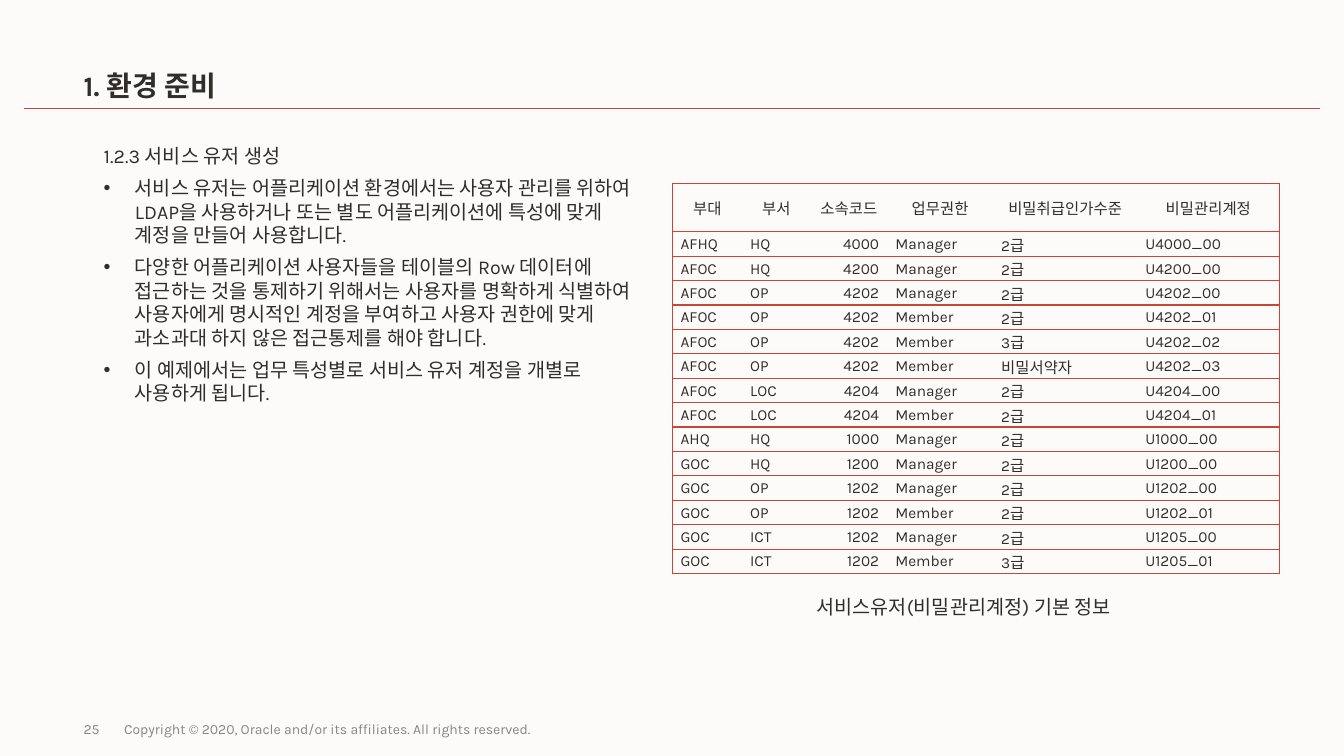
"""Build the service user account slide."""
from dataclasses import dataclass
from typing import NamedTuple

from lxml.etree import SubElement
from pptx import Presentation
from pptx.dml.color import RGBColor
from pptx.enum.shapes import MSO_CONNECTOR
from pptx.enum.text import MSO_ANCHOR as Anchor, MSO_AUTO_SIZE as AutoSize, PP_ALIGN as Align
from pptx.oxml.ns import qn
from pptx.util import Inches, Pt

FONT = "Karla"
INK, GREY, RED, PAPER = "312D2A", "8B8580", "C74634", "FCFBFA"


class Account(NamedTuple):
    unit: str
    department: str
    code: str
    role: str
    clearance: str
    user: str


@dataclass
class Label:
    text: str
    left: float
    top: float
    width: float
    height: float
    size: float
    color: str
    inset: bool = True
    wrap: bool = True
    anchor: Anchor = Anchor.TOP
    auto_size: AutoSize = AutoSize.NONE


HEADINGS = Account("부대", "부서", "소속코드", "업무권한", "비밀취급인가수준", "비밀관리계정")
ACCOUNTS = [
    Account("AFHQ", "HQ", "4000", "Manager", "2급", "U4000_00"),
    Account("AFOC", "HQ", "4200", "Manager", "2급", "U4200_00"),
    Account("AFOC", "OP", "4202", "Manager", "2급", "U4202_00"),
    Account("AFOC", "OP", "4202", "Member", "2급", "U4202_01"),
    Account("AFOC", "OP", "4202", "Member", "3급", "U4202_02"),
    Account("AFOC", "OP", "4202", "Member", "비밀서약자", "U4202_03"),
    Account("AFOC", "LOC", "4204", "Manager", "2급", "U4204_00"),
    Account("AFOC", "LOC", "4204", "Member", "2급", "U4204_01"),
    Account("AHQ", "HQ", "1000", "Manager", "2급", "U1000_00"),
    Account("GOC", "HQ", "1200", "Manager", "2급", "U1200_00"),
    Account("GOC", "OP", "1202", "Manager", "2급", "U1202_00"),
    Account("GOC", "OP", "1202", "Member", "2급", "U1202_01"),
    Account("GOC", "ICT", "1202", "Manager", "2급", "U1205_00"),
    Account("GOC", "ICT", "1202", "Member", "3급", "U1205_01"),
]
COLUMN_WIDTHS = [0.69, 0.68, 0.76, 1.05, 1.43, 1.41]
TABLE_HEIGHT, HEADER_HEIGHT = 3.87, 0.48

BULLETS = [
    "서비스 유저는 어플리케이션 환경에서는 사용자 관리를 위하여 LDAP을 사용하거나 또는 "
    "별도 어플리케이션에 특성에 맞게 계정을 만들어 사용합니다.",
    "다양한 어플리케이션 사용자들을 테이블의 Row 데이터에 접근하는 것을 통제하기 위해서는 "
    "사용자를 명확하게 식별하여 사용자에게 명시적인 계정을 부여하고 사용자 권한에 맞게 "
    "과소과대 하지 않은 접근통제를 해야 합니다.",
    "이 예제에서는 업무 특성별로 서비스 유저 계정을 개별로 사용하게 됩니다.",
]
BODY = Label("1.2.3 서비스 유저 생성", 0.93, 1.38, 5.58, 2.71, 14, INK,
             auto_size=AutoSize.SHAPE_TO_FIT_TEXT)
LABELS = [
    Label("25", 0.83, 7.03, 0.4, 0.4, 10, GREY, inset=False, anchor=Anchor.MIDDLE),
    Label("Copyright © 2020, Oracle and/or its affiliates. All rights reserved.",
          1.23, 7.03, 6.28, 0.4, 10, GREY, inset=False, anchor=Anchor.MIDDLE),
    Label("서비스유저(비밀관리계정) 기본 정보", 8, 5.85, 3.37, 0.34, 14, INK,
          wrap=False, auto_size=AutoSize.SHAPE_TO_FIT_TEXT),
]


def rgb(color: str) -> RGBColor:
    return RGBColor.from_string(color)


def write_text(paragraph, text: str, *, size: float, color: str = INK, bold: bool = False,
               align: Align = Align.LEFT, before: float = 0, bullet: bool = False) -> None:
    if bullet:
        properties = paragraph._p.get_or_add_pPr()
        properties.set("marL", str(Inches(0.31)))
        properties.set("indent", str(-Inches(0.31)))
        SubElement(properties, qn("a:buFont"), typeface="Arial")
        SubElement(properties, qn("a:buChar"), char="•")
    paragraph.alignment = align
    paragraph.space_before = Pt(before)
    run = paragraph.add_run()
    run.text = text
    run.font.name = FONT
    run.font.size = Pt(size)
    run.font.bold = bold
    run.font.color.rgb = rgb(color)


def clear_insets(frame) -> None:
    frame.margin_left = frame.margin_top = frame.margin_right = frame.margin_bottom = 0


def add_label(slide, label: Label):
    box = slide.shapes.add_textbox(Inches(label.left), Inches(label.top),
                                   Inches(label.width), Inches(label.height))
    frame = box.text_frame
    frame.word_wrap = label.wrap
    frame.auto_size = label.auto_size
    frame.vertical_anchor = label.anchor
    if not label.inset:
        clear_insets(frame)
    write_text(frame.paragraphs[0], label.text, size=label.size, color=label.color)
    return frame


def add_title(slide) -> None:
    title = slide.shapes.title
    title.left, title.top = Inches(0.83), Inches(0.58)
    title.width, title.height = Inches(4.71), Inches(0.44)
    frame = title.text_frame
    frame.auto_size = AutoSize.NONE
    frame.vertical_anchor = Anchor.BOTTOM
    clear_insets(frame)
    write_text(frame.paragraphs[0], "1. 환경 준비", size=20, bold=True)
    frame.paragraphs[0].line_spacing = 0.95


def add_rule(slide) -> None:
    rule = slide.shapes.add_connector(MSO_CONNECTOR.STRAIGHT, Inches(0.24), Inches(1.08),
                                      Inches(13.09), Inches(1.08))
    rule.line.color.rgb = rgb(RED)
    rule.line.width = Pt(0.5)
    SubElement(rule._element.spPr, qn("a:effectLst"))


def set_borders(cell, visible: str) -> None:
    properties = cell._tc.get_or_add_tcPr()
    for side in "LRTB":
        line = SubElement(properties, qn(f"a:ln{side}"), w=str(Pt(1)))
        if side in visible:
            fill = SubElement(line, qn("a:solidFill"))
            SubElement(fill, qn("a:srgbClr"), val=RED)
        else:
            SubElement(line, qn("a:noFill"))


def add_account_table(slide) -> None:
    records = [HEADINGS, *ACCOUNTS]
    table = slide.shapes.add_table(len(records), len(COLUMN_WIDTHS), Inches(6.67), Inches(1.82),
                                   Inches(sum(COLUMN_WIDTHS)), Inches(TABLE_HEIGHT)).table
    table.first_row = table.horz_banding = False
    for column, width in zip(table.columns, COLUMN_WIDTHS):
        column.width = Inches(width)
    account_height = (TABLE_HEIGHT - HEADER_HEIGHT) / len(ACCOUNTS)
    last = len(COLUMN_WIDTHS) - 1
    edges = {0: "TBL", last: "TBR"}
    for row, record in enumerate(records):
        table.rows[row].height = Inches(account_height if row else HEADER_HEIGHT)
        for column, (field, text) in enumerate(zip(Account._fields, record)):
            cell = table.cell(row, column)
            set_borders(cell, edges.get(column, "TB"))
            cell.fill.solid()
            cell.fill.fore_color.rgb = rgb(PAPER)
            cell.vertical_anchor = Anchor.MIDDLE
            cell.margin_left = cell.margin_right = Inches(0.08)
            cell.margin_top, cell.margin_bottom = Inches(0.01), 0
            body_align = Align.RIGHT if field == "code" else Align.LEFT
            write_text(cell.text_frame.paragraphs[0], text, size=11,
                       align=body_align if row else Align.CENTER)


def main() -> None:
    presentation = Presentation()
    presentation.slide_width, presentation.slide_height = Inches(13.33), Inches(7.5)
    slide = presentation.slides.add_slide(presentation.slide_layouts[5])
    slide.background.fill.solid()
    slide.background.fill.fore_color.rgb = rgb(PAPER)
    add_rule(slide)
    add_title(slide)
    body = add_label(slide, BODY)
    for text in BULLETS:
        write_text(body.add_paragraph(), text, size=BODY.size, before=6, bullet=True)
    for label in LABELS:
        add_label(slide, label)
    add_account_table(slide)
    presentation.save("out.pptx")


if __name__ == "__main__":
    main()
